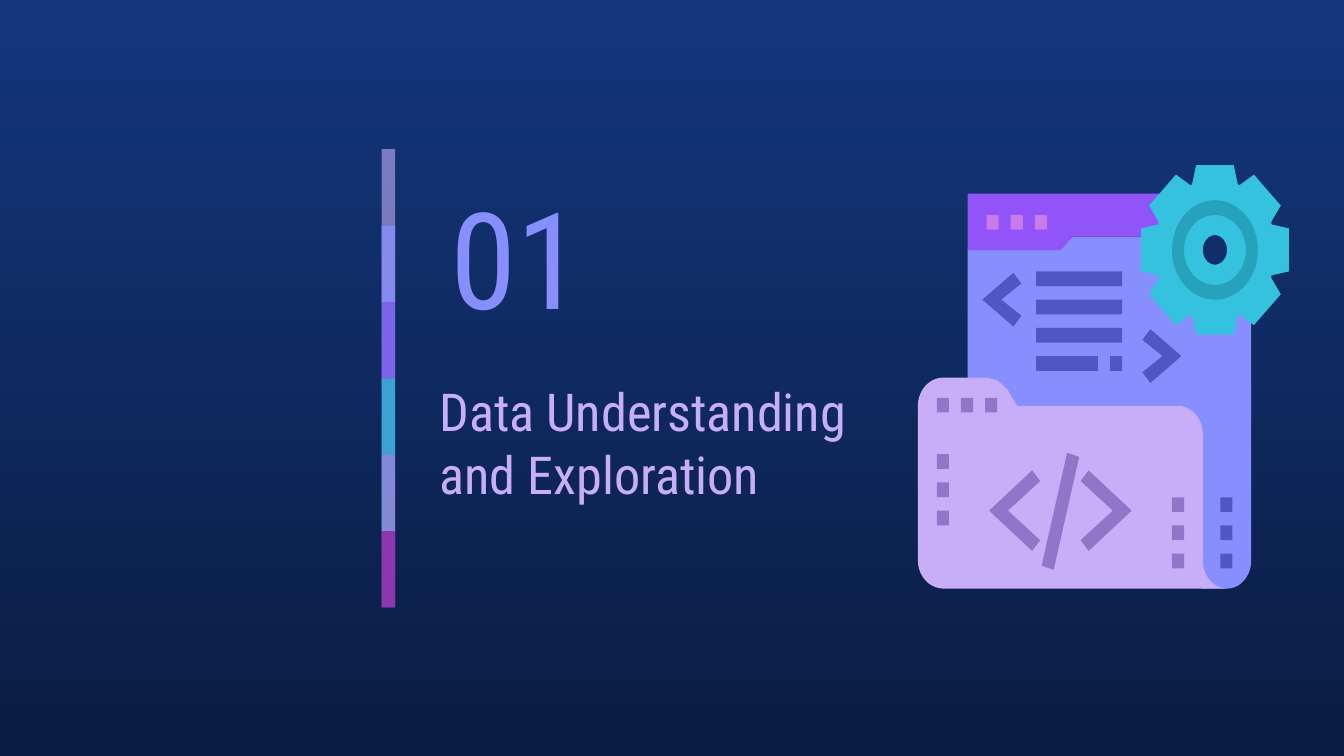
from dataclasses import dataclass
from math import cos, radians, sin

from lxml.etree import SubElement
from pptx import Presentation
from pptx.dml.color import RGBColor
from pptx.enum.shapes import MSO_SHAPE
from pptx.enum.text import MSO_ANCHOR, MSO_AUTO_SIZE, PP_ALIGN
from pptx.oxml.ns import qn
from pptx.util import Inches, Pt

COLORS = {
    "sky": "13367C", "night": "0A1D42",
    "lilac": "C8AEF8", "mauve": "9275C8", "pink": "CA7BEB", "plum": "972CB4",
    "blue": "878FFF", "indigo": "4F57C3", "violet": "9154F8",
    "cyan": "35C2DF", "teal": "26A2BC",
}
FONT = "Roboto Condensed"
Point = tuple[float, float]


@dataclass
class Label:
    text: str
    left: float
    top: float
    width: float
    height: float
    size: int
    color: str


@dataclass
class Outline:
    color: str
    contours: list[list[Point]]


@dataclass
class DotRow:
    color: str
    left: float
    top: float
    step_x: float
    step_y: float


@dataclass
class Bar:
    color: str
    opacity: int
    steps: int = 2


def rgb(name: str) -> RGBColor:
    return RGBColor.from_string(COLORS[name])


def arc(x: float, y: float, rx: float, ry: float, start: int, end: int, count: int = 10) -> list[Point]:
    """Points along an ellipse; 0 is right and 90 is down."""
    angles = [radians(start + (end - start) * i / count) for i in range(count + 1)]
    return [(x + rx * cos(a), y + ry * sin(a)) for a in angles]


def gear_teeth(x: float, y: float) -> list[Point]:
    """One quarter of the teeth, mirrored to the other three."""
    quarter = [(0.14, 0.63), (0.17, 0.49), (0.18, 0.48), (0.29, 0.56),
               (0.49, 0.33), (0.42, 0.21), (0.42, 0.19), (0.55, 0.16)]
    half = [(dx, -dy) for dx, dy in quarter] + quarter[::-1]
    around = half + [(-dx, dy) for dx, dy in half[::-1]]
    return [(x + dx, y + dy) for dx, dy in around]


def bracket(x: float, y: float, direction: int, width: float, height: float) -> list[Point]:
    """A code bracket whose tip is at x, y; direction 1 points right."""
    upper = [(width - 0.06, -height), (width, 0.08 - height)]
    lower = [(dx, -dy) for dx, dy in upper[::-1]]
    return [(x - direction * dx, y + dy) for dx, dy in [(0, 0), *upper, (0.14, 0), *lower]]


def write_label(box, label: Label) -> None:
    place = {"left": label.left, "top": label.top, "width": label.width, "height": label.height}
    for name, value in place.items():
        setattr(box, name, Inches(value))
    frame = box.text_frame
    frame_format = {"word_wrap": True, "auto_size": MSO_AUTO_SIZE.NONE, "vertical_anchor": MSO_ANCHOR.MIDDLE}
    frame_format |= {f"margin_{side}": Inches(0.1) for side in ("left", "top", "right", "bottom")}
    for name, value in frame_format.items():
        setattr(frame, name, value)
    para = frame.paragraphs[0]
    para.alignment = PP_ALIGN.LEFT
    span = para.add_run()
    span.text = label.text
    for name, value in {"name": FONT, "size": Pt(label.size), "bold": False}.items():
        setattr(span.font, name, value)
    span.font.color.rgb = rgb(label.color)


def paint(shape, color: str) -> None:
    shape.shadow.inherit = False
    shape.fill.solid()
    shape.fill.fore_color.rgb = rgb(color)
    shape.line.fill.background()


def draw_outline(page, outline: Outline) -> None:
    contours = [[(Inches(x), Inches(y)) for x, y in points] for points in outline.contours]
    builder = page.shapes.build_freeform(*contours[0][0], scale=1.0)
    builder.add_line_segments(contours[0][1:], close=True)
    for points in contours[1:]:
        builder.move_to(*points[0])
        builder.add_line_segments(points[1:], close=True)
    paint(builder.convert_to_shape(), outline.color)


def draw_block(page, color: str, left: float, top: float, width: float, height: float):
    block = page.shapes.add_shape(
        MSO_SHAPE.RECTANGLE, Inches(left), Inches(top), Inches(width), Inches(height))
    paint(block, color)
    return block


def draw_dots(page, row: DotRow) -> None:
    for i in range(3):
        draw_block(page, row.color, row.left + i * row.step_x, row.top + i * row.step_y, 0.09, 0.11)


def draw_bar(page, bar: Bar, index: int) -> None:
    step = 3.41 / len(BARS)
    block = draw_block(page, bar.color, 2.84, 1.11 + index * step, 0.1, bar.steps * step)
    color = block.element.spPr.find(f".//{qn('a:srgbClr')}")
    SubElement(color, qn("a:alpha"), val=str(bar.opacity * 1000))


GEAR = (9.04, 1.86)
LABELS = [
    Label("01", 3.25, 1.23, 1.75, 1.35, 72, "blue"),
    Label("Data Understanding and Exploration", 3.17, 2.81, 3.28, 0.96, 28, "lilac"),
]
OUTLINES = [
    # Sheet and its header
    Outline("blue", [[(7.2, 1.86), (7.89, 1.86), (7.98, 1.76), (8.65, 1.76), (8.8, 2.25), (9.31, 2.2),
                      *arc(9.13, 4.17, 0.18, 0.21, 0, 90), (8.94, 4.38), (8.94, 3.23), (7.2, 3.23)]]),
    Outline("violet", [[(7.2, 1.44), (8.65, 1.44), (8.65, 1.76), (7.98, 1.76), (7.89, 1.86), (7.2, 1.86)]]),
    # Folder
    Outline("lilac", [[*arc(7.02, 3.02, 0.19, 0.21, 180, 270),
                       (7.34, 2.81), (7.42, 2.83), (7.49, 2.89), (7.57, 3.02),
                       *arc(8.76, 3.23, 0.19, 0.21, 270, 360),
                       *arc(9.13, 4.17, 0.18, 0.21, 180, 90),
                       *arc(7.02, 4.17, 0.19, 0.21, 90, 180)]]),
    # Gear and its ring
    Outline("cyan", [gear_teeth(*GEAR), arc(*GEAR, 0.09, 0.11, 360, 0, 40)]),
    Outline("teal", [arc(*GEAR, 0.32, 0.37, 0, 360, 60), arc(*GEAR, 0.23, 0.26, 360, 0, 60)]),
    # Code brackets and slash
    Outline("indigo", [bracket(7.31, 2.23, -1, 0.29, 0.2)]),
    Outline("indigo", [bracket(8.79, 2.65, 1, 0.29, 0.2)]),
    Outline("mauve", [bracket(7.36, 3.8, -1, 0.38, 0.3)]),
    Outline("mauve", [bracket(8.42, 3.8, 1, 0.38, 0.3)]),
    Outline("mauve", [[(7.94, 3.37), (7.75, 4.21), (7.84, 4.24), (8.03, 3.4)]]),
]
DOT_ROWS = [
    DotRow("pink", 7.34, 1.6, 0.18, 0),
    DotRow("mauve", 6.97, 2.96, 0.18, 0),
    DotRow("mauve", 6.97, 3.38, 0, 0.21),
    DotRow("mauve", 8.72, 3.7, 0, 0.21),
    DotRow("indigo", 9.08, 3.7, 0, 0.21),
]
CODE_LINES = [(7.71, 2.02, 0.64), (7.71, 2.23, 0.64), (7.71, 2.44, 0.64), (7.71, 2.65, 0.46), (8.26, 2.65, 0.09)]
BARS = [Bar("lilac", 59), Bar("blue", 74), Bar("violet", 53),
        Bar("cyan", 76), Bar("pink", 56), Bar("plum", 74, steps=1)]


def main() -> None:
    deck = Presentation()
    deck.slide_width = Inches(10)
    deck.slide_height = deck.slide_width * 9 // 16
    page = deck.slides.add_slide(deck.slide_layouts[5])

    # Background
    fill = page.background.fill
    fill.gradient()
    fill.gradient_angle = 270
    for stop, position, color in zip(fill.gradient_stops, (0, 1), ("sky", "night")):
        stop.position = position
        stop.color.rgb = rgb(color)

    # Section number and heading
    number, heading = LABELS
    write_label(page.shapes.add_textbox(0, 0, 0, 0), number)
    write_label(page.shapes.title, heading)

    # Illustration
    for outline in OUTLINES:
        draw_outline(page, outline)
    for row in DOT_ROWS:
        draw_dots(page, row)
    for left, top, width in CODE_LINES:
        draw_block(page, "indigo", left, top, width, 0.11)

    # Divider of overlapping translucent bars
    for index, bar in enumerate(BARS):
        draw_bar(page, bar, index)

    deck.save("out.pptx")


if __name__ == "__main__":
    main()
